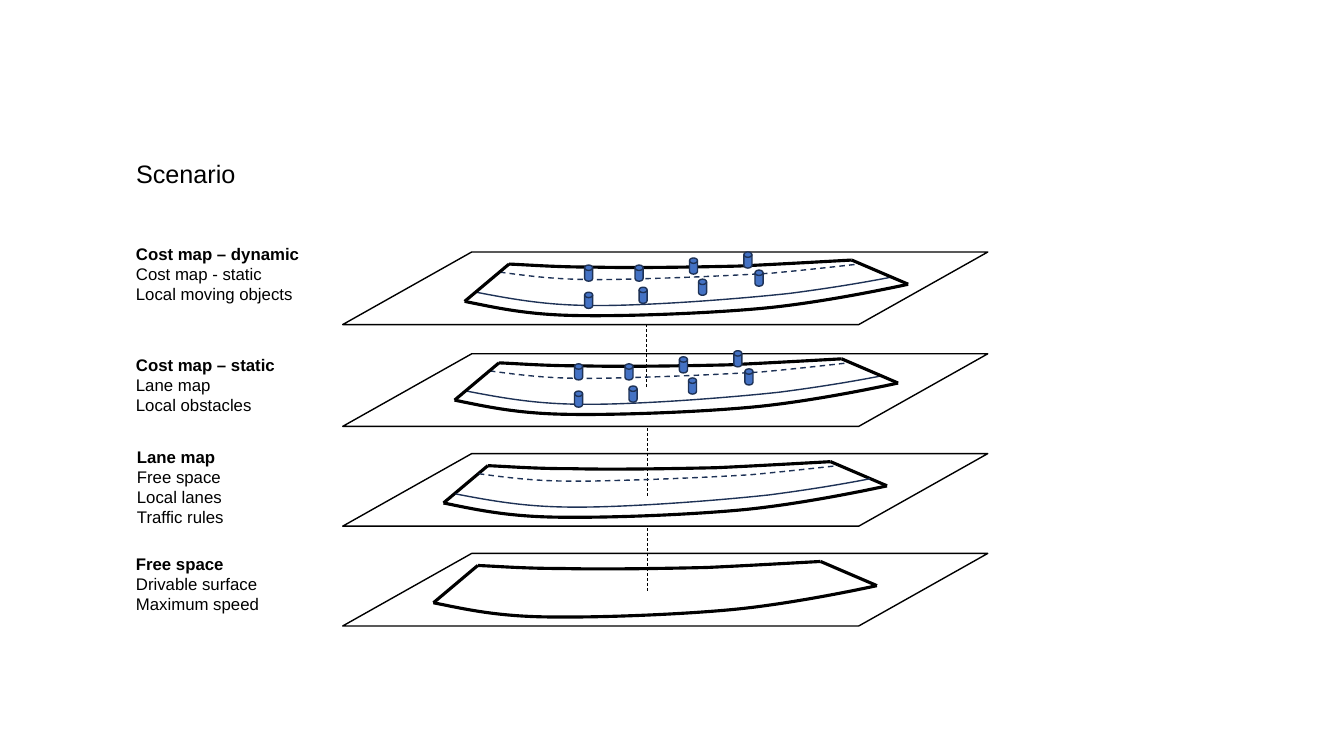
from lxml import etree
from pptx import Presentation
from pptx.dml.color import RGBColor
from pptx.enum.dml import MSO_LINE
from pptx.enum.shapes import MSO_CONNECTOR, MSO_SHAPE
from pptx.enum.text import MSO_ANCHOR, MSO_AUTO_SIZE, PP_ALIGN
from pptx.oxml.ns import qn
from pptx.util import Inches, Pt

PLANE, POST = MSO_SHAPE.FLOWCHART_DATA, MSO_SHAPE.FLOWCHART_MAGNETIC_DISK
STRAIGHT, DASH = MSO_CONNECTOR.STRAIGHT, MSO_LINE.DASH
BLACK, WHITE, BLUE, NAVY = "000000", "FFFFFF", "4472C4", "1E3256"

prs = Presentation()
prs.slide_width, prs.slide_height = Inches(40 / 3), Inches(7.5)
s = prs.slides.add_slide(prs.slide_layouts[5])


def style(shape, color, width, dash=None, fill=None):
    """Set outline and fill, and switch the shadow off."""
    for name, value in {"width": Pt(width), "dash_style": dash}.items():
        setattr(shape.line, name, value)
    shape.line.color.rgb = RGBColor.from_string(color)
    if not hasattr(shape, "fill"):
        etree.SubElement(shape._element.spPr, qn("a:effectLst"))
        return
    shape.shadow.inherit = False
    if fill:
        shape.fill.solid()
        shape.fill.fore_color.rgb = RGBColor.from_string(fill)
    else:
        shape.fill.background()


def write(shape, lines, size, bold_first):
    """Fill a text frame with one paragraph per line."""
    tf = shape.text_frame
    for name, value in {"word_wrap": True, "vertical_anchor": MSO_ANCHOR.TOP,
                        "auto_size": MSO_AUTO_SIZE.SHAPE_TO_FIT_TEXT}.items():
        setattr(tf, name, value)
    for i, line in enumerate(lines):
        p = tf.add_paragraph() if i else tf.paragraphs[0]
        p.alignment = PP_ALIGN.LEFT
        r = p.add_run()
        r.text = line
        for name, value in {"name": "Arial", "size": Pt(size),
                            "bold": bold_first and i == 0}.items():
            setattr(r.font, name, value)
        r.font.color.rgb = RGBColor.from_string(BLACK)


# Title
title = s.shapes.title
for name, value in {"left": 1.25, "top": 1.52, "width": 4.66, "height": 0.4}.items():
    setattr(title, name, Inches(value))
write(title, ["Scenario"], 18, False)

# Layers from bottom to top: caption place and width, lines, plane top, road corner
layers = [
    (1.25, 5.44, 1.71, ["Free space", "Drivable surface", "Maximum speed"],
     5.49, (4.3, 5.98)),
    (1.26, 4.38, 1.85, ["Lane map", "Free space", "Local lanes", "Traffic rules"],
     4.5, (4.4, 4.99)),
    (1.25, 3.47, 1.71, ["Cost map – static", "Lane map", "Local obstacles"],
     3.51, (4.51, 3.97)),
    (1.25, 2.37, 1.85, ["Cost map – dynamic", "Cost map - static", "Local moving objects"],
     2.5, (4.61, 2.99)),
]
# Dashed link from each plane up to the next: x, lower end
links = [(6.42, 5.86), (6.42, 4.92), (6.41, 3.84)]
LINK_LENGTH = 1.07

# Bezier points of the road, relative to its left corner
near_edge = [(0, 0), (0.3, 0.06), (0.6, 0.13), (1.09, 0.14), (1.58, 0.15),
             (2.39, 0.12), (2.94, 0.07), (3.49, 0.02), (4.17, -0.12), (4.4, -0.17)]
far_edge = [(0.44, -0.37), (0.67, -0.36), (0.9, -0.34), (1.28, -0.34), (1.66, -0.33),
            (2.28, -0.34), (2.71, -0.35), (3.14, -0.37), (3.66, -0.4), (3.84, -0.41)]
near_lane = [(0.12, -0.09), (0.38, -0.04), (0.65, 0.01), (0.96, 0.03), (1.27, 0.05),
             (1.6, 0.04), (1.98, 0.02), (2.36, 0), (2.86, -0.04), (3.23, -0.08),
             (3.61, -0.13), (3.92, -0.18), (4.23, -0.24)]
far_lane = [(0.35, -0.29), (0.57, -0.26), (0.8, -0.23), (1.07, -0.22), (1.34, -0.21),
            (1.63, -0.22), (1.96, -0.23), (2.29, -0.24), (2.72, -0.26), (3.05, -0.28),
            (3.37, -0.31), (3.64, -0.34), (3.91, -0.37)]
edges = [(near_edge, BLACK, 2.25, None), (far_edge, BLACK, 2.25, None)]
lanes = [(near_lane, NAVY, 1, None), (far_lane, NAVY, 1, DASH)]
posts = [(1.19, -0.09), (1.73, -0.14), (2.32, -0.22), (2.88, -0.31),
         (1.19, -0.36), (1.69, -0.36), (2.23, -0.43), (2.77, -0.49)]

# Captions, planes and links
for i, (left, top, width, lines, plane_top, corner) in enumerate(layers):
    box = s.shapes.add_textbox(Inches(left), Inches(top), Inches(width),
                               Inches(0.11 + 0.2 * len(lines)))
    write(box, lines, 12, True)
    plane = s.shapes.add_shape(PLANE, Inches(3.4), Inches(plane_top),
                               Inches(6.4), Inches(0.72))
    style(plane, BLACK, 1, fill=WHITE)
    if i < len(links):
        x, y = links[i]
        link = s.shapes.add_connector(STRAIGHT, Inches(x), Inches(y),
                                      Inches(x), Inches(y - LINK_LENGTH))
        style(link, BLACK, 0.5, DASH)

# Roads: edges everywhere, lanes from the second layer, posts from the third
for i, (*_, (x0, y0)) in enumerate(layers):
    road = s.shapes.add_group_shape().shapes
    for points, color, width, dash in edges + (lanes if i >= 1 else []):
        parent = s.shapes if i == 1 and color == NAVY else road
        pts = [(Inches(x0 + x), Inches(y0 + y)) for x, y in points]
        fb = parent.build_freeform(*pts[0])
        fb.add_line_segments(pts[1:], close=False)
        curve = fb.convert_to_shape()
        # Join every three line points into one Bezier segment
        segments = list(curve._element.iter(qn("a:lnTo")))
        for k in range(0, len(segments), 3):
            bezier = etree.Element(qn("a:cubicBezTo"))
            segments[k].addprevious(bezier)
            for segment in segments[k:k + 3]:
                bezier.append(segment[0])
                segment.getparent().remove(segment)
        style(curve, color, width, dash)
    for end in (0, -1):
        (x1, y1), (x2, y2) = near_edge[end], far_edge[end]
        side = road.add_connector(STRAIGHT, Inches(x0 + x1), Inches(y0 + y1),
                                  Inches(x0 + x2), Inches(y0 + y2))
        style(side, BLACK, 2.25)
    for x, y in posts if i >= 2 else []:
        post = road.add_shape(POST, Inches(x0 + x), Inches(y0 + y),
                              Inches(0.08), Inches(0.16))
        style(post, NAVY, 1, fill=BLUE)

prs.save("out.pptx")
